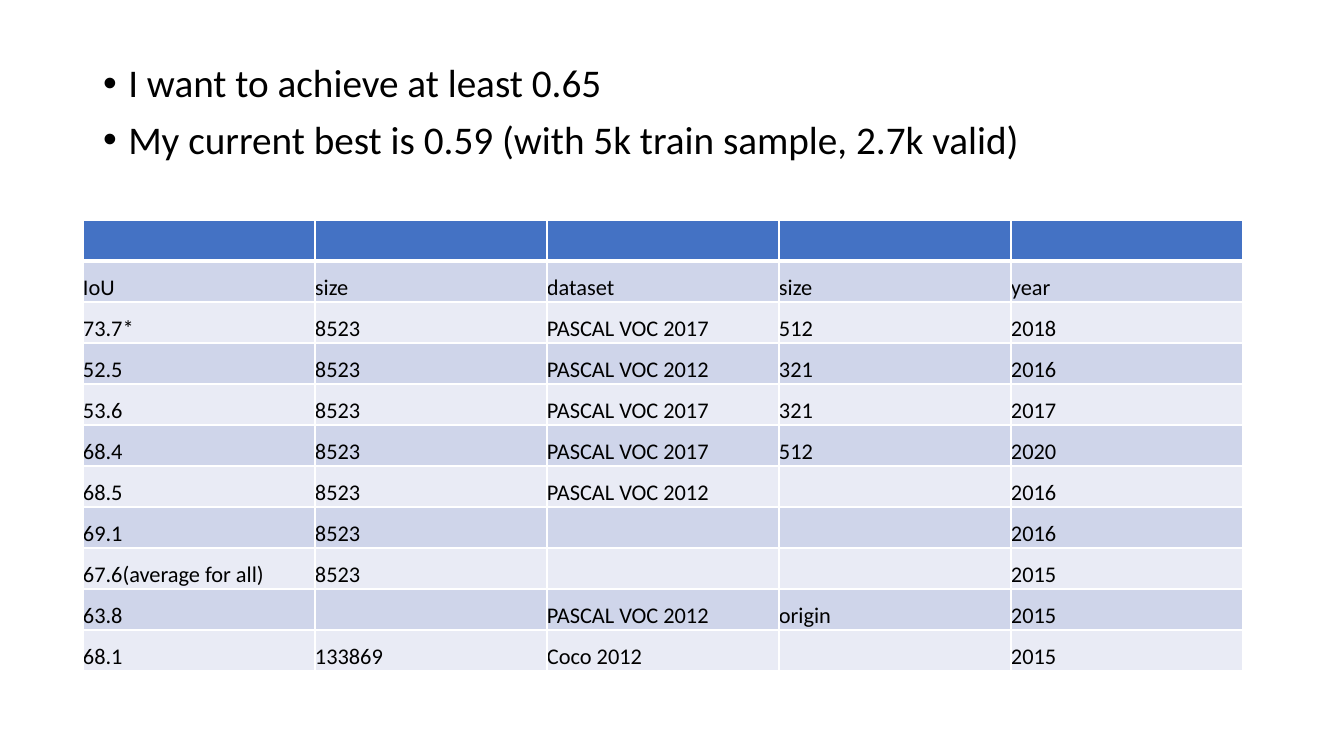
from pptx import Presentation, util as u
from pptx.dml.color import RGBColor
from pptx.enum import text
from pptx.oxml.ns import qn
from lxml import etree

PX = 9144000 / 1008
THEME = {
    "font": "Calibri",
    "ink": "000000",
    "header": "4472C4",
    "bands": ("E9EBF5", "CFD5EA"),
    "rule": "FFFFFF",
    "list_size": 28,
    "cell_size": 16,
}
GOALS = [
    "I want to achieve at least 0.65",
    "My current best is 0.59 (with 5k train sample, 2.7k valid)",
]
RESULTS = [
    ("", "", "", "", ""),
    ("IoU", "size", "dataset", "size", "year"),
    ("73.7*", "8523", "PASCAL VOC 2017", "512", "2018"),
    ("52.5", "8523", "PASCAL VOC 2012", "321", "2016"),
    ("53.6", "8523", "PASCAL VOC 2017", "321", "2017"),
    ("68.4", "8523", "PASCAL VOC 2017", "512", "2020"),
    ("68.5", "8523", "PASCAL VOC 2012", "", "2016"),
    ("69.1", "8523", "", "", "2016"),
    ("67.6(average for all)", "8523", "", "", "2015"),
    ("63.8", "", "PASCAL VOC 2012", "origin", "2015"),
    ("68.1", "133869", "Coco 2012", "", "2015"),
]
COLUMN_WIDTH, ROW_HEIGHT = 232, 41


def px(length):
    return u.Emu(round(length * PX))


def style_font(font, size):
    font.name = THEME["font"]
    font.size = u.Pt(size)
    font.bold = False
    font.color.rgb = RGBColor.from_string(THEME["ink"])


deck = Presentation()
deck.slide_width, deck.slide_height = px(1344), px(756)
page = deck.slides.add_slide(deck.slide_layouts[1])
title = page.shapes.title.element
title.getparent().remove(title)

body = page.placeholders[1]
body.left, body.top, body.width, body.height = px(93), px(59), px(1159), px(621)
body.text_frame.text = "\n".join(GOALS)
for para in body.text_frame.paragraphs:
    para.line_spacing = 0.9
    para.space_before = u.Pt(10)
    properties = para._p.get_or_add_pPr()
    properties.set("marL", str(u.Inches(0.25)))
    properties.set("indent", str(-u.Inches(0.25)))
    etree.SubElement(properties, qn("a:buFont"), typeface="Arial")
    etree.SubElement(properties, qn("a:buChar"), char="•")
    for span in para.runs:
        style_font(span.font, THEME["list_size"])

columns = len(RESULTS[0])
table = page.shapes.add_table(
    len(RESULTS), columns, px(83), px(220),
    px(columns * COLUMN_WIDTH), px(len(RESULTS) * ROW_HEIGHT),
).table
for column in table.columns:
    column.width = px(COLUMN_WIDTH)
for row_index, values in enumerate(RESULTS):
    table.rows[row_index].height = px(ROW_HEIGHT)
    for column_index, value in enumerate(values):
        cell = table.cell(row_index, column_index)
        cell.text = value
        cell.vertical_anchor = text.MSO_ANCHOR.BOTTOM
        cell.margin_left = cell.margin_right = 0
        cell.margin_top = cell.margin_bottom = 0
        para = cell.text_frame.paragraphs[0]
        style_font(para.font, THEME["cell_size"])
        for span in para.runs:
            style_font(span.font, THEME["cell_size"])
        cell_properties = cell._tc.get_or_add_tcPr()
        for side in ("L", "R", "T", "B"):
            under_header = (row_index, side) in ((0, "B"), (1, "T"))
            border = etree.SubElement(
                cell_properties, qn("a:ln" + side),
                w=str(u.Pt(3 if under_header else 1)),
            )
            paint = etree.SubElement(border, qn("a:solidFill"))
            etree.SubElement(paint, qn("a:srgbClr"), val=THEME["rule"])
        shade = THEME["bands"][row_index % 2] if row_index else THEME["header"]
        cell.fill.solid()
        cell.fill.fore_color.rgb = RGBColor.from_string(shade)

deck.save("out.pptx")
